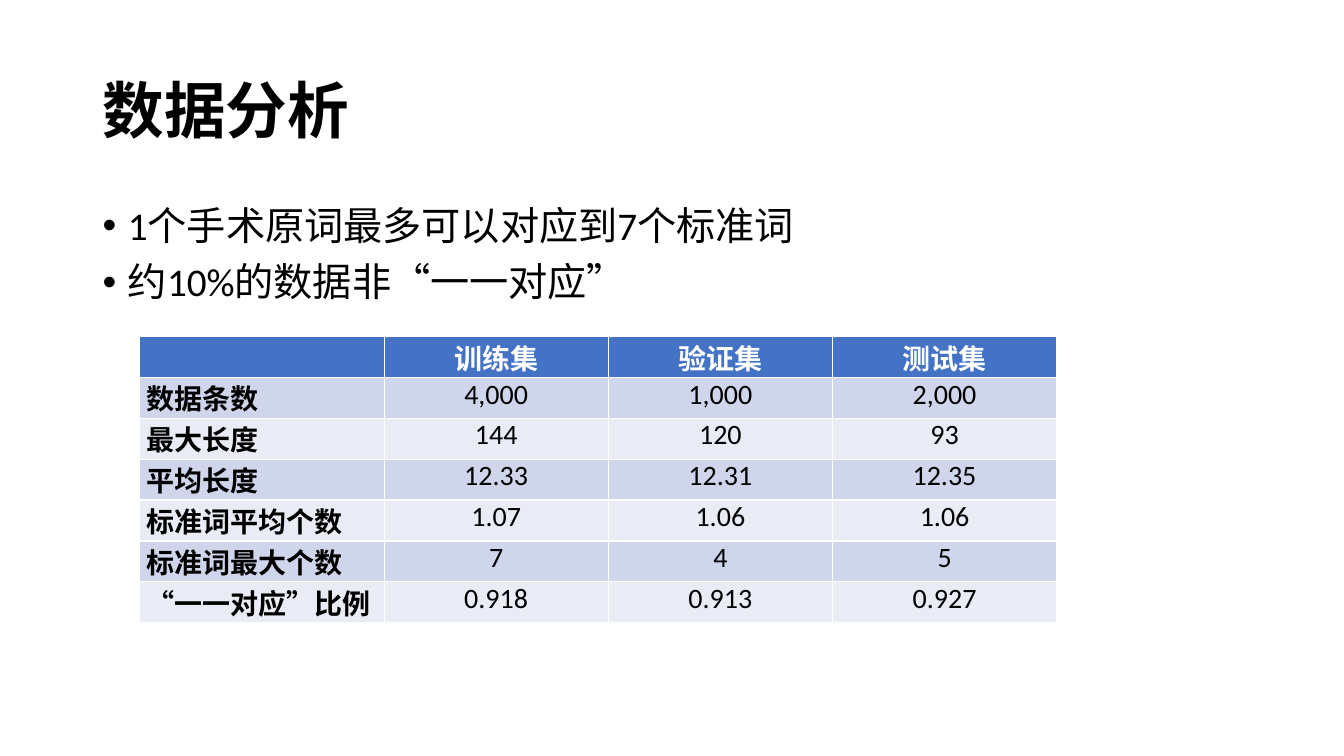
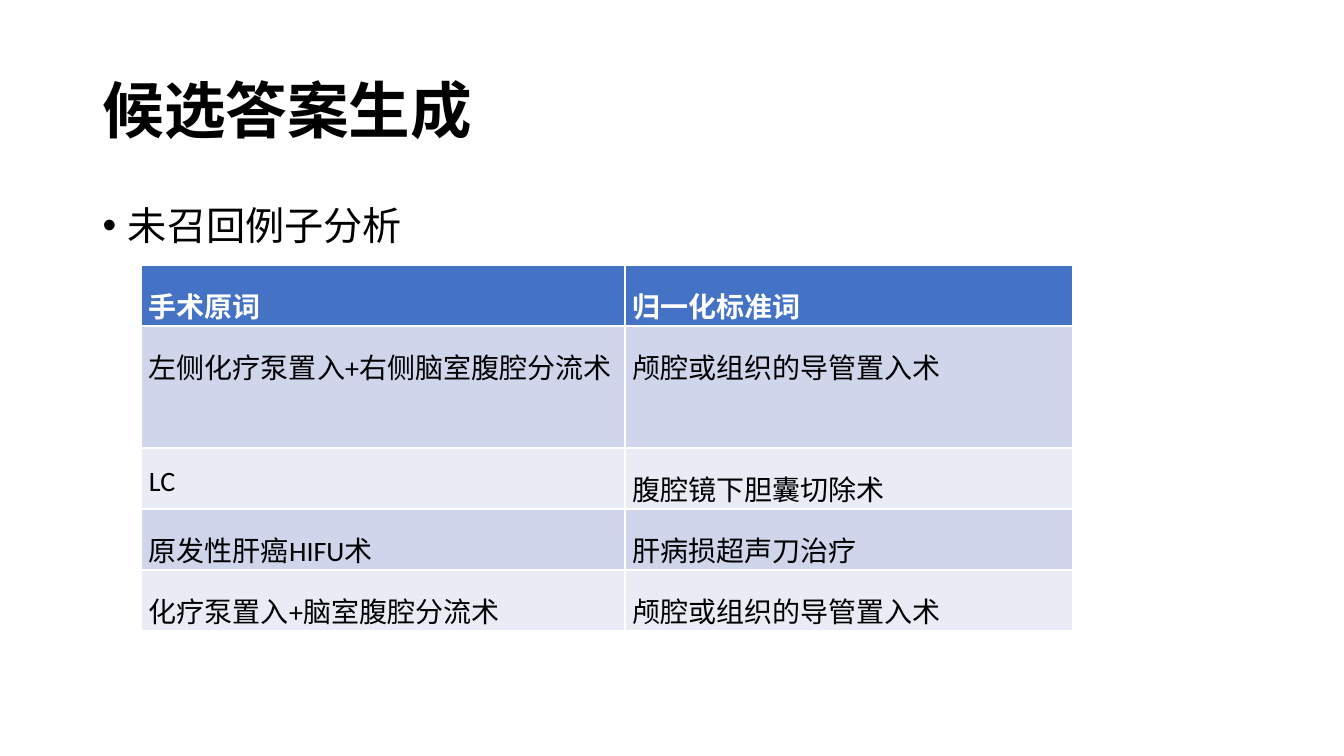
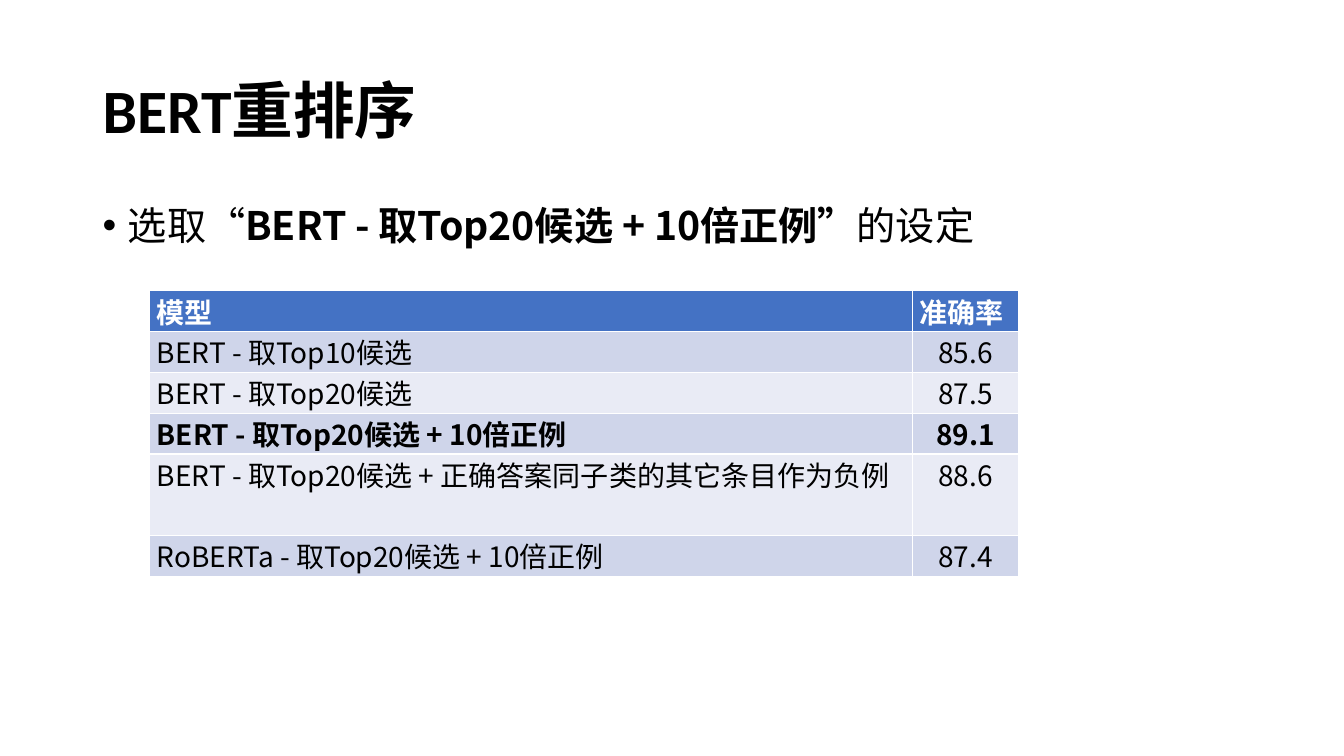
"""Build three slides on surgical term normalisation, each with a list and a table."""
from lxml.etree import SubElement
from pptx import Presentation
from pptx.dml.color import RGBColor as Rgb
from pptx.enum.text import MSO_ANCHOR as Anchor, MSO_AUTO_SIZE as Fit, PP_ALIGN as Align
from pptx.oxml.ns import qn
from pptx.util import Cm, Pt

HUES = {"ink": "000000", "head": "4472C4", "text": "FFFFFF", "odd": "CFD5EA", "even": "E9EBF5"}
SANS, HAN = "Calibri", "Noto Sans CJK SC"
TITLE = {"left": Cm(2.33), "top": Cm(1.02), "width": Cm(29.21), "height": Cm(3.68)}
BODY = {"left": Cm(2.33), "top": Cm(5.08), "width": Cm(29.21), "height": Cm(12.09)}
FRAME = {"word_wrap": True, "auto_size": Fit.NONE}
LINE = {"alignment": Align.LEFT, "line_spacing": 0.9}
ITEM = {**LINE, "space_before": Pt(10)}
CELL = {"margin_left": Cm(0.18), "margin_right": Cm(0.18), "margin_top": 0, "margin_bottom": 0}
ROW = Cm(1.03)

DECK = [
    {
        "title": "数据分析",
        "list": [[("1个手术原词最多可以对应到7个标准词", SANS, False)],
                 [("约10%的数据非“一一对应”", SANS, False)]],
        "at": (3.51, 8.48), "cols": [6.17, 5.65, 5.65, 5.65],
        "face": SANS, "space": 1.0, "mid": 0, "bold_col": 0, "bold_row": 0,
        "rows": [
            ["", "训练集", "验证集", "测试集"],
            ["数据条数", "4,000", "1,000", "2,000"],
            ["最大长度", "144", "120", "93"],
            ["平均长度", "12.33", "12.31", "12.35"],
            ["标准词平均个数", "1.07", "1.06", "1.06"],
            ["标准词最大个数", "7", "4", "5"],
            ["“一一对应”比例", "0.918", "0.913", "0.927"],
        ],
    },
    {
        "title": "候选答案生成",
        "list": [[("未召回例子分析", SANS, False)]],
        "at": (3.57, 6.68), "cols": [12.18, 11.28],
        "face": SANS, "space": 1.5, "mid": None, "bold_col": None, "bold_row": 0,
        "rows": [
            ["手术原词", "归一化标准词"],
            ["左侧化疗泵置入+右侧脑室腹腔分流术", "颅腔或组织的导管置入术"],
            ["LC", "腹腔镜下胆囊切除术"],
            ["原发性肝癌HIFU术", "肝病损超声刀治疗"],
            ["化疗泵置入+脑室腹腔分流术", "颅腔或组织的导管置入术"],
        ],
    },
    {
        "title": "BERT重排序",
        "list": [[("选取“", SANS, False),
                  ("BERT - 取Top20候选 + 10倍正例”", HAN, True),
                  ("的设定", HAN, False)]],
        "at": (3.77, 7.32), "cols": [19.23, 2.67],
        "face": HAN, "space": 1.0, "mid": 1, "bold_col": None, "bold_row": 3,
        "rows": [
            ["模型", "准确率"],
            ["BERT - 取Top10候选", "85.6"],
            ["BERT - 取Top20候选", "87.5"],
            ["BERT - 取Top20候选 + 10倍正例", "89.1"],
            ["BERT - 取Top20候选 + 正确答案同子类的其它条目作为负例", "88.6"],
            ["RoBERTa - 取Top20候选 + 10倍正例", "87.4"],
        ],
    },
]


def put(thing, vals):
    for key, val in vals.items():
        setattr(thing, key, val)


def write(para, text, size, face=SANS, bold=False, hue="ink"):
    run = para.add_run()
    run.text = text
    put(run.font, {"name": face, "size": Pt(size), "bold": bold})
    run.font.color.rgb = Rgb.from_string(HUES[hue])
    SubElement(run.font._element, qn("a:ea")).set("typeface", HAN)


deck = Presentation()
put(deck, {"slide_width": Cm(33.87), "slide_height": Cm(19.05)})

for page in DECK:
    slide = deck.slides.add_slide(deck.slide_layouts[1])
    title, body = slide.placeholders
    put(title, TITLE)
    put(title.text_frame, {**FRAME, "vertical_anchor": Anchor.MIDDLE})
    para = title.text_frame.paragraphs[0]
    put(para, LINE)
    write(para, page["title"], 44, bold=True)

    put(body, BODY)
    put(body.text_frame, FRAME)
    for i, item in enumerate(page["list"]):
        para = body.text_frame.add_paragraph() if i else body.text_frame.paragraphs[0]
        put(para, ITEM)
        props = para._p.get_or_add_pPr()
        props.set("marL", str(Cm(0.64)))
        props.set("indent", str(-Cm(0.64)))
        for text, face, bold in item:
            write(para, text, 28, face, bold)

    rows, cols = page["rows"], page["cols"]
    left, top = page["at"]
    grid = slide.shapes.add_table(len(rows), len(cols), Cm(left), Cm(top),
                                  Cm(sum(cols)), ROW * len(rows)).table
    for col, wide in zip(grid.columns, cols):
        col.width = Cm(wide)
    for r, row in enumerate(rows):
        fill = ("even", "odd")[r % 2] if r else "head"
        for c, text in enumerate(row):
            cell = grid.cell(r, c)
            put(cell, CELL)
            cell.fill.solid()
            cell.fill.fore_color.rgb = Rgb.from_string(HUES[fill])
            para = cell.text_frame.paragraphs[0]
            mid = page["mid"] is not None and c > 0 and r >= page["mid"]
            put(para, {"alignment": Align.CENTER if mid else Align.LEFT,
                       "line_spacing": page["space"]})
            bold = r in (0, page["bold_row"]) or c == page["bold_col"]
            if text:
                write(para, text, 20, page["face"] if r else SANS, bold,
                      "ink" if r else "text")

deck.save("out.pptx")
